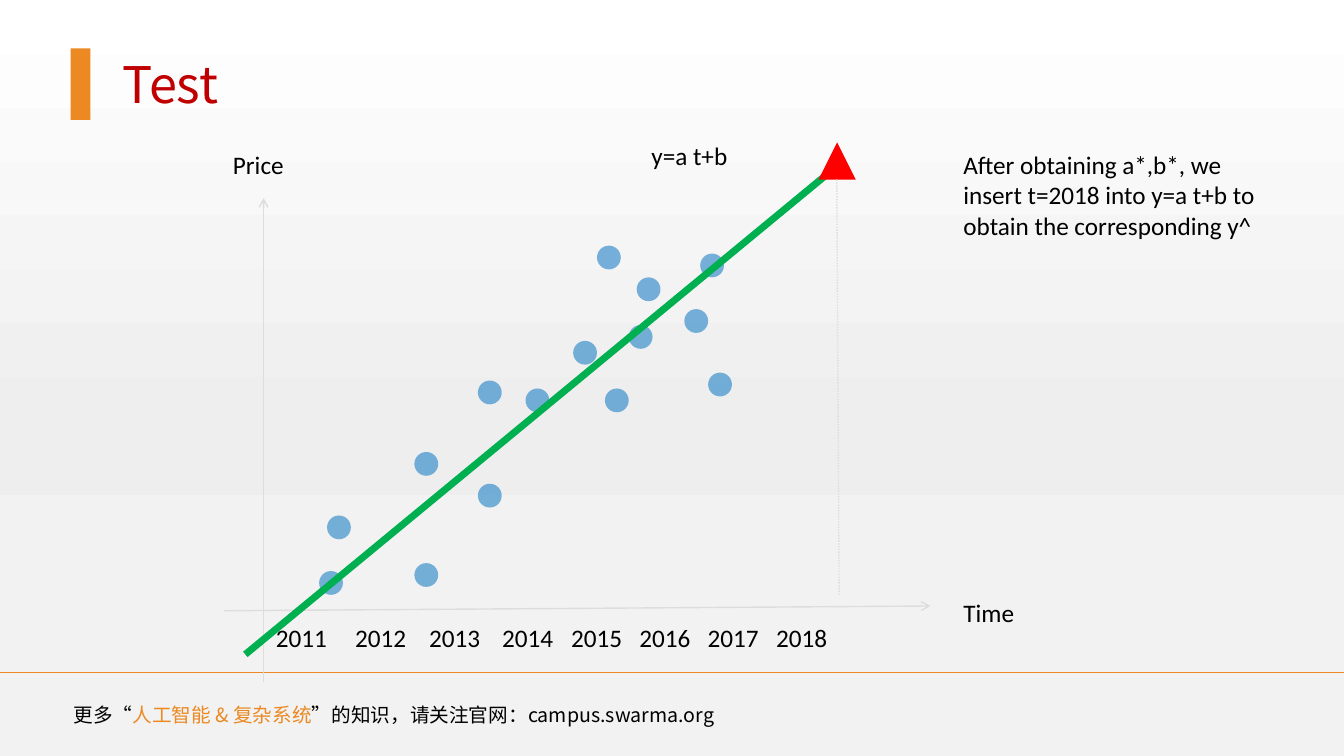
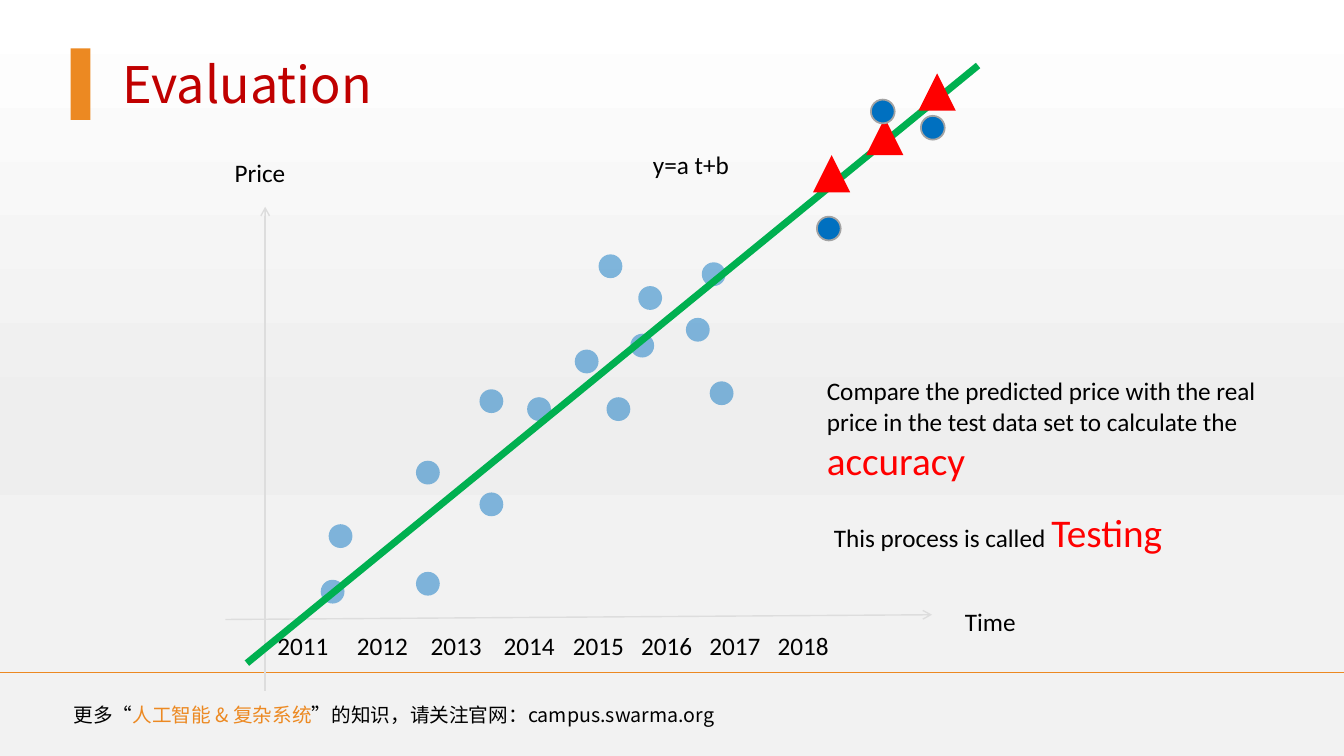
from dataclasses import dataclass

from lxml.etree import SubElement
from pptx import Presentation
from pptx.dml.color import RGBColor
from pptx.enum.dml import MSO_LINE
from pptx.enum.shapes import MSO_CONNECTOR, MSO_SHAPE
from pptx.oxml.ns import qn
from pptx.util import Cm, Inches, Pt


@dataclass(frozen=True)
class Theme:
    title_color: str = "C00000"
    accent: str = "EC8922"
    ink: str = "000000"
    axis: str = "DDDDDD"
    sample: str = "0070C0"
    sample_edge: str = "A3A3A3"
    fit: str = "00B050"
    highlight: str = "FF0000"
    backdrop: tuple = ((0, "FFFFFF"), (57, "EEEEEE"), (74, "F2F2F2"), (100, "F2F2F2"))
    heading_font: str = "Noto Sans CJK SC"
    body_font: str = "Calibri"
    title_size: int = 36
    strong_size: int = 28
    body_size: int = 18
    footer_size: int = 14


THEME = Theme()

# All lengths are columns and rows of a square grid
CELL = Cm(0.2)
SLIDE_COLUMNS = 169.33
DOT_SIZE = 3
TRIANGLE_SIZE = 4.7

TITLE = {"name": THEME.heading_font, "size": THEME.title_size, "color": THEME.title_color}
FOOTER = {"name": THEME.heading_font, "size": THEME.footer_size, "color": THEME.ink}
FOOTER_ACCENT = {**FOOTER, "color": THEME.accent}
BODY = {"name": THEME.body_font, "size": THEME.body_size, "color": THEME.ink}
STRONG = {**BODY, "size": THEME.strong_size, "color": THEME.highlight}

# Training samples: column and row from the plot's corner
SAMPLES = [
    (13, 47), (24, 39), (24, 53), (12, 54), (32, 43),
    (48, 31), (44, 25), (58, 21), (52, 17), (51, 23),
    (47, 13), (61, 29), (60, 14), (38, 31), (32, 30),
]
YEARS = range(2011, 2019)
YEAR_TABS = [10, 19.3, 28.5, 37.2, 45.8, 54.4, 63]


def cells(*counts):
    return [round(count * CELL) for count in counts]


def rgb(color):
    return RGBColor.from_string(color)


def add_text(slide, box, runs, tabs=()):
    frame = slide.shapes.add_textbox(*cells(*box)).text_frame
    frame.word_wrap = True
    paragraph = frame.paragraphs[0]
    if tabs:
        tab_list = SubElement(paragraph._p.get_or_add_pPr(), qn("a:tabLst"))
        for position in cells(*tabs):
            SubElement(tab_list, qn("a:tab"), pos=str(position), algn="l")
    for text, style in runs:
        run = paragraph.add_run()
        run.text = text
        values = {"name": style["name"], "size": Pt(style["size"])}
        for attribute, value in values.items():
            setattr(run.font, attribute, value)
        run.font.color.rgb = rgb(style["color"])
        SubElement(run.font._element, qn("a:ea"), typeface=style["name"])


def add_shape(slide, kind, box, color, opacity=100, edge=None):
    shape = slide.shapes.add_shape(kind, *cells(*box))
    shape.shadow.inherit = False
    shape.fill.solid()
    shape.fill.fore_color.rgb = rgb(color)
    if opacity < 100:
        fill_color = shape.element.spPr.find(".//" + qn("a:srgbClr"))
        SubElement(fill_color, qn("a:alpha"), val=str(opacity * 1000))
    if edge:
        shape.line.color.rgb = rgb(edge)
        shape.line.width = Pt(1.25)
    else:
        shape.line.fill.background()


def add_line(slide, start, end, color, width=1, arrow=False, dash=None):
    connector = slide.shapes.add_connector(
        MSO_CONNECTOR.STRAIGHT, *cells(*start, *end))
    connector.line.color.rgb = rgb(color)
    connector.line.width = Pt(width)
    if dash:
        connector.line.dash_style = dash
    if arrow:
        SubElement(connector.line._get_or_add_ln(), qn("a:tailEnd"), type="arrow")
    SubElement(connector.element.spPr, qn("a:effectLst"))


def set_backdrop(master):
    """Vertical gradient inherited by every slide."""
    fill = master.background.fill
    fill.gradient()
    fill.gradient_angle = 270
    stops = master.element.find(".//" + qn("a:gsLst"))
    for stop in list(stops):
        stops.remove(stop)
    for position, color in THEME.backdrop:
        stop = SubElement(stops, qn("a:gs"), pos=str(position * 1000))
        SubElement(stop, qn("a:srgbClr"), val=color)


def add_framed_slide(presentation, title):
    """Slide with title, accent bar, rule and footer."""
    slide = presentation.slides.add_slide(presentation.slide_layouts[6])
    add_text(slide, (14.2, 6.1, 101.9, 9), [(title, TITLE)])
    add_shape(slide, MSO_SHAPE.RECTANGLE, (8.9, 6.1, 2.5, 9), THEME.accent)
    add_line(slide, (0, 84.7), (SLIDE_COLUMNS, 84.7), THEME.accent)
    add_text(slide, (8, 87.9, 99.7, 4.3), [
        ("更多“", FOOTER),
        ("人工智能 & 复杂系统", FOOTER_ACCENT),
        ("”的知识，请关注官网：campus.swarma.org", FOOTER),
    ])
    return slide


def add_plot(slide, corner, fit_end, opacity):
    """Price against time; returns a function that places points in the plot."""
    def at(column, row):
        return corner[0] + column, corner[1] + row

    # Axes and their labels
    add_line(slide, at(0, 59), at(89, 58.4), THEME.axis, arrow=True)
    add_line(slide, at(5, 68), at(5, 7), THEME.axis, arrow=True)
    add_text(slide, (*at(91.9, 56.7), 15, 5), [("Time", BODY)])
    add_text(slide, (*at(-0.1, 0.2), 12.4, 5), [("Price", BODY)])
    add_text(slide, (*at(5.3, 59.8), 80.3, 5),
             [("\t".join(map(str, YEARS)), BODY)], YEAR_TABS)

    # Samples and fitted line
    for sample in SAMPLES:
        add_shape(slide, MSO_SHAPE.OVAL, (*at(*sample), DOT_SIZE, DOT_SIZE),
                  THEME.sample, opacity)
    add_line(slide, at(2.7, 64.5), at(*fit_end), THEME.fit, width=5)
    add_text(slide, (*at(52.6, -0.9), 16, 5), [("y=a t+b", BODY)])
    return at


def add_prediction(slide, position):
    add_shape(slide, MSO_SHAPE.ISOSCELES_TRIANGLE,
              (*position, TRIANGLE_SIZE, TRIANGLE_SIZE), THEME.highlight)


def build_test_slide(presentation):
    slide = add_framed_slide(presentation, "Test")
    at = add_plot(slide, (28.2, 17.95), (77.5, 2.75), 52)
    add_text(slide, (120.1, 18.2, 42.4, 12.8), [
        ("After obtaining a*,b*, we insert t=2018 into y=a t+b "
         "to obtain the corresponding y^", BODY),
    ])
    add_prediction(slide, at(74.9, 0))
    add_line(slide, at(77.2, 4.65), at(77.5, 57), THEME.axis,
             dash=MSO_LINE.ROUND_DOT)


def build_evaluation_slide(presentation):
    slide = add_framed_slide(presentation, "Evaluation")
    at = add_plot(slide, (28.4, 19.05), (94.8, -10.8), 48)
    add_text(slide, (102.9, 46.7, 59.3, 15), [
        ("Compare the predicted price with the real price "
         "in the test data set to calculate the ", BODY),
        ("accuracy", STRONG),
    ])
    add_text(slide, (103.8, 63.4, 62.2, 7.4),
             [("This process is called ", BODY), ("Testing", STRONG)])

    # Each predicted price beside the real one
    pairs = [
        ((74, 0.5), (74.5, 8.25)),
        ((80.7, -4.2), (81.3, -6.5)),
        ((87.3, -9.8), (87.6, -4.45)),
    ]
    for predicted, real in pairs:
        add_prediction(slide, at(*predicted))
        add_shape(slide, MSO_SHAPE.OVAL, (*at(*real), DOT_SIZE, DOT_SIZE),
                  THEME.sample, edge=THEME.sample_edge)


def main():
    presentation = Presentation()
    presentation.slide_width = Inches(13.33)
    presentation.slide_height = Inches(7.5)
    set_backdrop(presentation.slide_master)
    build_test_slide(presentation)
    build_evaluation_slide(presentation)
    presentation.save("out.pptx")


if __name__ == "__main__":
    main()
